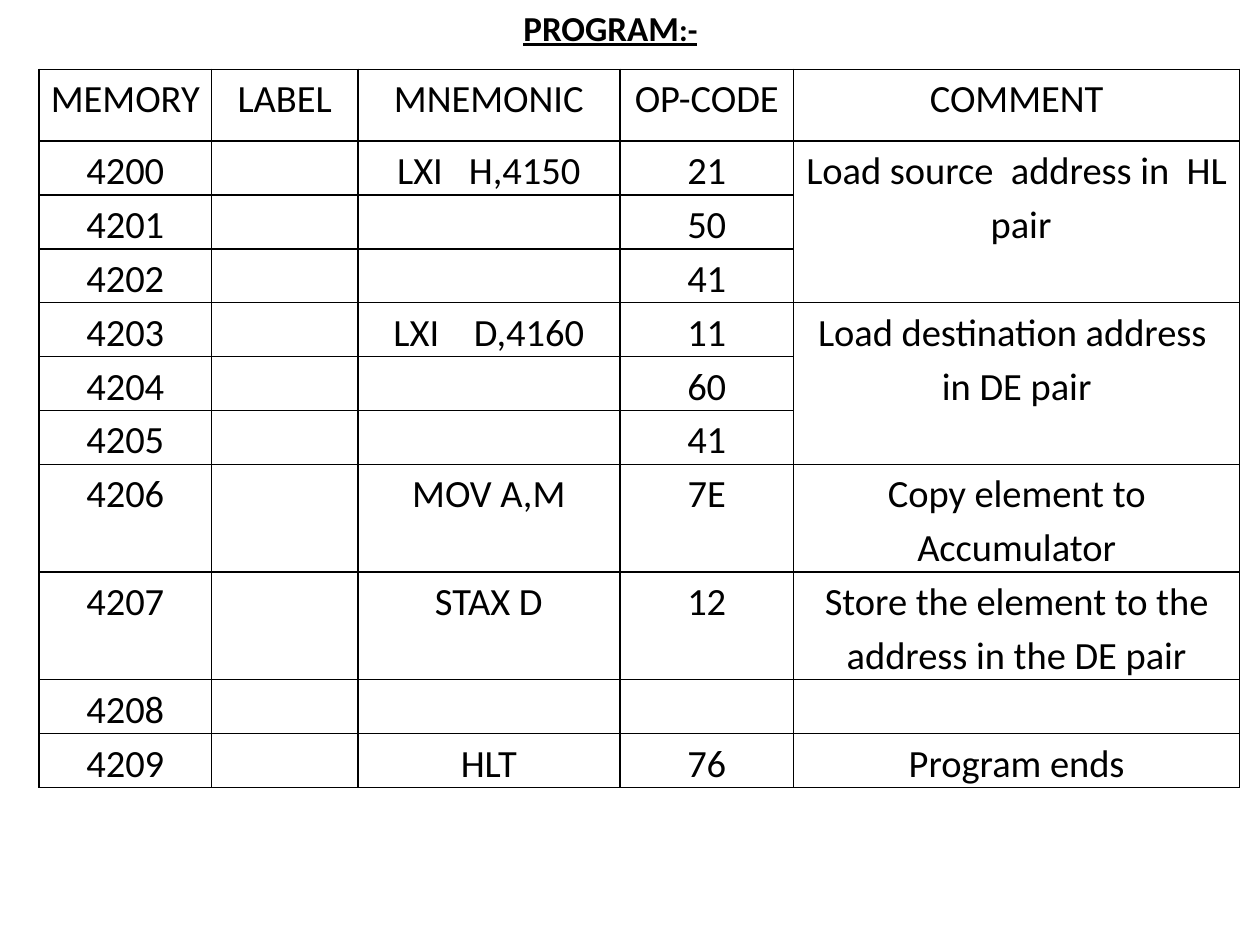
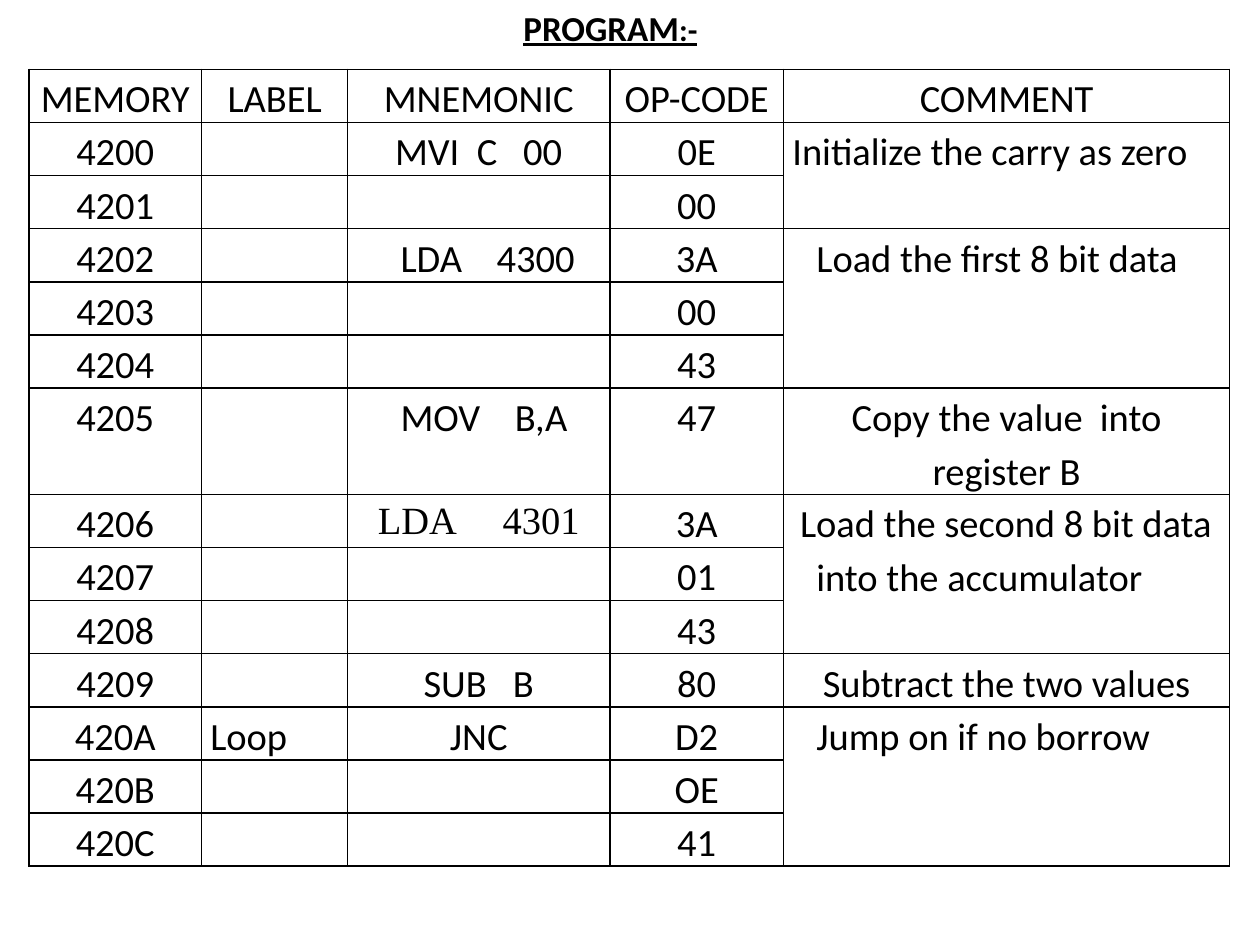
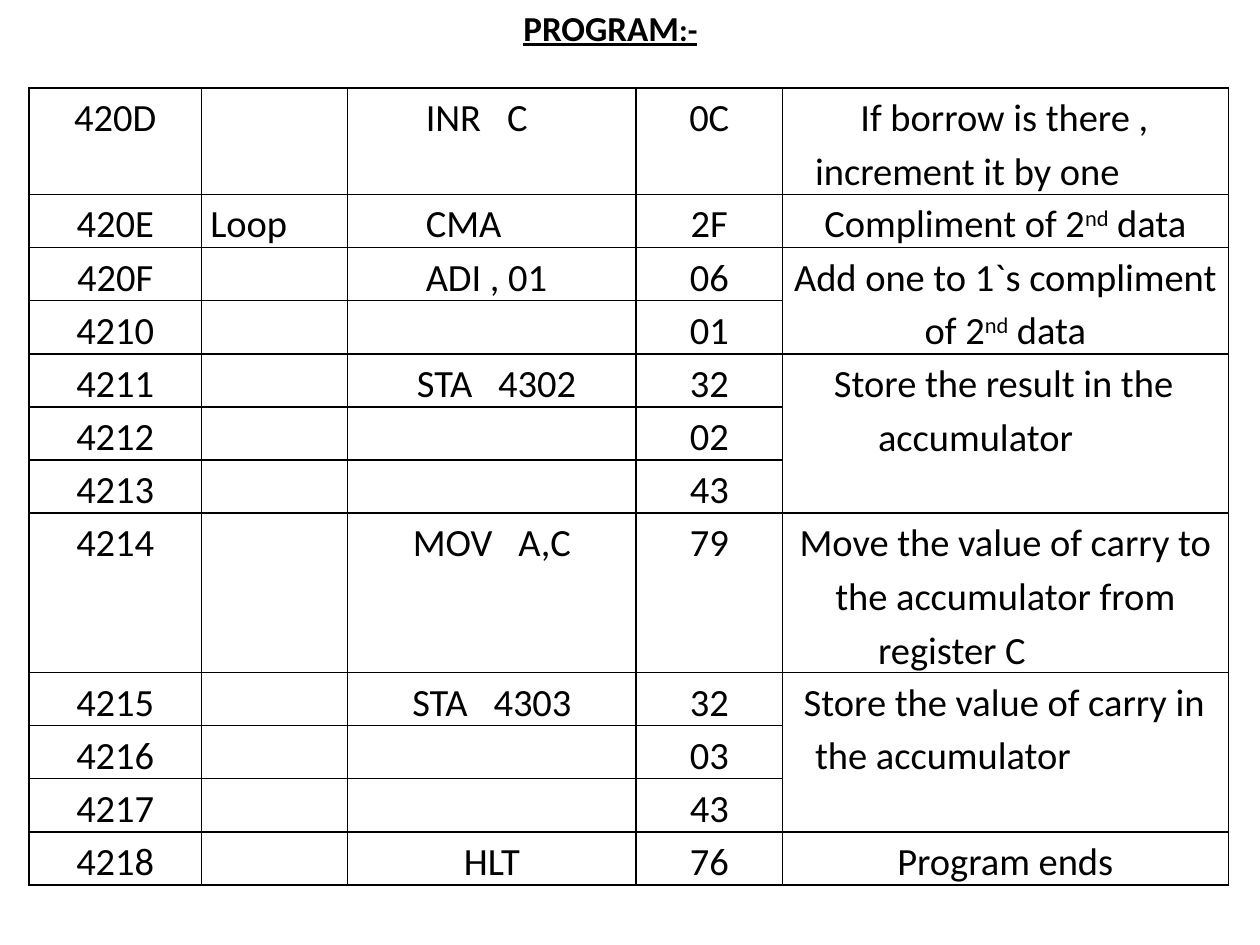
from dataclasses import dataclass

from lxml import etree
from pptx import Presentation
from pptx.dml.color import RGBColor
from pptx.enum import text as t
from pptx.oxml.ns import qn
from pptx.util import Inches, Pt

BLACK = RGBColor(0x00, 0x00, 0x00)
BODY_FONT = "Calibri"
ROW_HEIGHT = 0.42
CELL_INSET = 0.07
TITLE_BOX = (3.75, 0, 2.19, 0.44)
HEADINGS = ("MEMORY", "LABEL", "MNEMONIC", "OP-CODE", "COMMENT")
WIDE_OPCODE = (1.37, 1.16, 2.08, 1.38, 3.54)
WIDE_MNEMONIC = (1.37, 1.16, 2.29, 1.16, 3.54)
ABOVE = None  # the cell joins the one above it


@dataclass
class Entry:
    """Cell text; a left margin makes it left aligned, ^ marks superscript."""
    text: str
    left: float = None
    first: float = None  # start of the first line, if not the left margin
    font: str = BODY_FONT
    tail: "Entry" = None  # a following paragraph


COPY_BLOCK = [
    HEADINGS,
    ("4200", "", "LXI   H,4150", "21", "Load source  address in  HL  pair"),
    ("4201", "", "", "50", ABOVE),
    ("4202", "", "", "41", ABOVE),
    ("4203", "", "LXI    D,4160", "11", "Load destination address  in DE pair"),
    ("4204", "", "", "60", ABOVE),
    ("4205", "", "", "41", ABOVE),
    ("4206", "", "MOV A,M", "7E", "Copy element to Accumulator"),
    ("4207", "", "STAX D", "12", "Store the element to the address in the DE pair"),
    ("4208", "", "", "", ""),
    ("4209", "", "HLT", "76", "Program ends"),
]
SUBTRACT_START = [
    HEADINGS,
    ("4200", "", "MVI  C   00", "0E", Entry("Initialize the carry as zero", 0)),
    ("4201", "", "", "00", ABOVE),
    ("4202", "", Entry("LDA    4300", 0.35), "3A", Entry("Load the first 8 bit data", 0.19)),
    ("4203", "", "", "00", ABOVE),
    ("4204", "", "", "43", ABOVE),
    ("4205", "", Entry("MOV    B,A", 0.35), "47", "Copy the value  into register B"),
    ("4206", "", Entry("LDA     4301", font="Times New Roman"), "3A",
     Entry("Load the second 8 bit data into the accumulator", 0.19, 0.06)),
    ("4207", "", "", "01", ABOVE),
    ("4208", "", "", "43", ABOVE),
    ("4209", "", "SUB   B", "80", "Subtract the two values"),
    ("420A", Entry("Loop", 0), "JNC", "D2", Entry("Jump on if no borrow", 0.19)),
    ("420B", "", "", "OE", ABOVE),
    ("420C", "", "", "41", ABOVE),
]
SUBTRACT_END = [
    ("420D", "", Entry("INR   C", 0.55), "0C",
     Entry("If borrow is there , increment it by one", 0.19, 0.55)),
    ("420E", Entry("Loop", 0), Entry("CMA", 0.55), "2F", "Compliment of 2^nd^ data"),
    ("420F", "", Entry("ADI , 01", 0.55), "06", "Add one to 1`s compliment of 2^nd^ data"),
    ("4210", "", "", "01", ABOVE),
    ("4211", "", Entry("STA   4302", 0.48), "32",
     Entry("Store the result in the accumulator", 0.69, 0.34)),
    ("4212", "", "", "02", ABOVE),
    ("4213", "", "", "43", ABOVE),
    ("4214", "", "MOV   A,C", "79",
     Entry("Move the value of carry to the accumulator from", tail=Entry("register C", 0.69))),
    ("4215", "", "STA   4303", "32",
     Entry("Store the value of carry in the accumulator", 0.19, 0.1)),
    ("4216", "", "", "03", ABOVE),
    ("4217", "", "", "43", ABOVE),
    ("4218", "", "HLT", "76", "Program ends"),
]


def add_span(para, text, size=22, font=BODY_FONT, bold=False, underline=False, raised=False):
    span = para.add_run()
    span.text = text
    style = span.font
    style.size, style.name = Pt(size), font
    style.bold, style.underline = bold, underline
    style.color.rgb = BLACK
    if raised:
        span._r.get_or_add_rPr().set("baseline", "30000")


def write_entry(para, entry):
    para.line_spacing = 1.15
    para.alignment = t.PP_ALIGN.CENTER
    if entry.left is not None:
        para.alignment = t.PP_ALIGN.LEFT
        first = entry.left if entry.first is None else entry.first
        properties = para._p.get_or_add_pPr()
        properties.set("marL", str(Inches(entry.left)))
        properties.set("indent", str(Inches(first - entry.left)))
    for index, part in enumerate(entry.text.split("^")):
        add_span(para, part, font=entry.font, raised=index % 2 == 1)


def draw_borders(cell):
    properties = cell._tc.get_or_add_tcPr()
    for index, side in enumerate(("lnL", "lnR", "lnT", "lnB")):
        line = etree.Element(qn("a:" + side), w=str(Pt(1)))
        fill = etree.SubElement(line, qn("a:solidFill"))
        etree.SubElement(fill, qn("a:srgbClr"), val=str(BLACK))
        properties.insert(index, line)


def fill_cell(cell, content):
    cell.margin_left = cell.margin_right = Inches(CELL_INSET)
    cell.margin_top = cell.margin_bottom = 0
    cell.fill.background()
    draw_borders(cell)
    if content:
        entry = content if isinstance(content, Entry) else Entry(content)
        write_entry(cell.text_frame.paragraphs[0], entry)
        if entry.tail:
            write_entry(cell.text_frame.add_paragraph(), entry.tail)


def merge_down(table, rows, column):
    """Join each cell with the ABOVE cells that follow it."""
    top = 0
    for index in range(1, len(rows) + 1):
        if index == len(rows) or rows[index][column] is not ABOVE:
            if index - top > 1:
                table.cell(top, column).merge(table.cell(index - 1, column))
            top = index


def add_listing(page, left, top, widths, rows, first_height):
    heights = [first_height] + [ROW_HEIGHT] * (len(rows) - 1)
    table = page.shapes.add_table(
        len(rows), len(widths), Inches(left), Inches(top),
        Inches(sum(widths)), Inches(sum(heights))).table
    table.first_row = table.horz_banding = False
    for column, width in zip(table.columns, widths):
        column.width = Inches(width)
    for row, height, contents in zip(table.rows, heights, rows):
        row.height = Inches(height)
        for cell, content in zip(row.cells, contents):
            fill_cell(cell, content)
    merge_down(table, rows, len(widths) - 1)


def add_title(page, left, top, width, height):
    box = page.shapes.add_textbox(Inches(left), Inches(top), Inches(width), Inches(height))
    frame = box.text_frame
    frame.word_wrap = True
    frame.auto_size = t.MSO_AUTO_SIZE.SHAPE_TO_FIT_TEXT
    para = frame.paragraphs[0]
    para.alignment = t.PP_ALIGN.CENTER
    add_span(para, "PROGRAM", size=20, bold=True, underline=True)
    add_span(para, ":-", size=18, bold=True, underline=True)


def add_program_page(deck, left, top, widths, rows, first_height=ROW_HEIGHT):
    page = deck.slides.add_slide(deck.slide_layouts[6])
    add_listing(page, left, top, widths, rows, first_height)
    add_title(page, *TITLE_BOX)


def main():
    deck = Presentation()
    deck.slide_width, deck.slide_height = Inches(10), Inches(7.5)
    add_program_page(deck, 0.31, 0.55, WIDE_OPCODE, COPY_BLOCK, first_height=0.57)
    add_program_page(deck, 0.23, 0.55, WIDE_OPCODE, SUBTRACT_START)
    add_program_page(deck, 0.23, 0.7, WIDE_MNEMONIC, SUBTRACT_END)
    deck.save("out.pptx")


if __name__ == "__main__":
    main()
